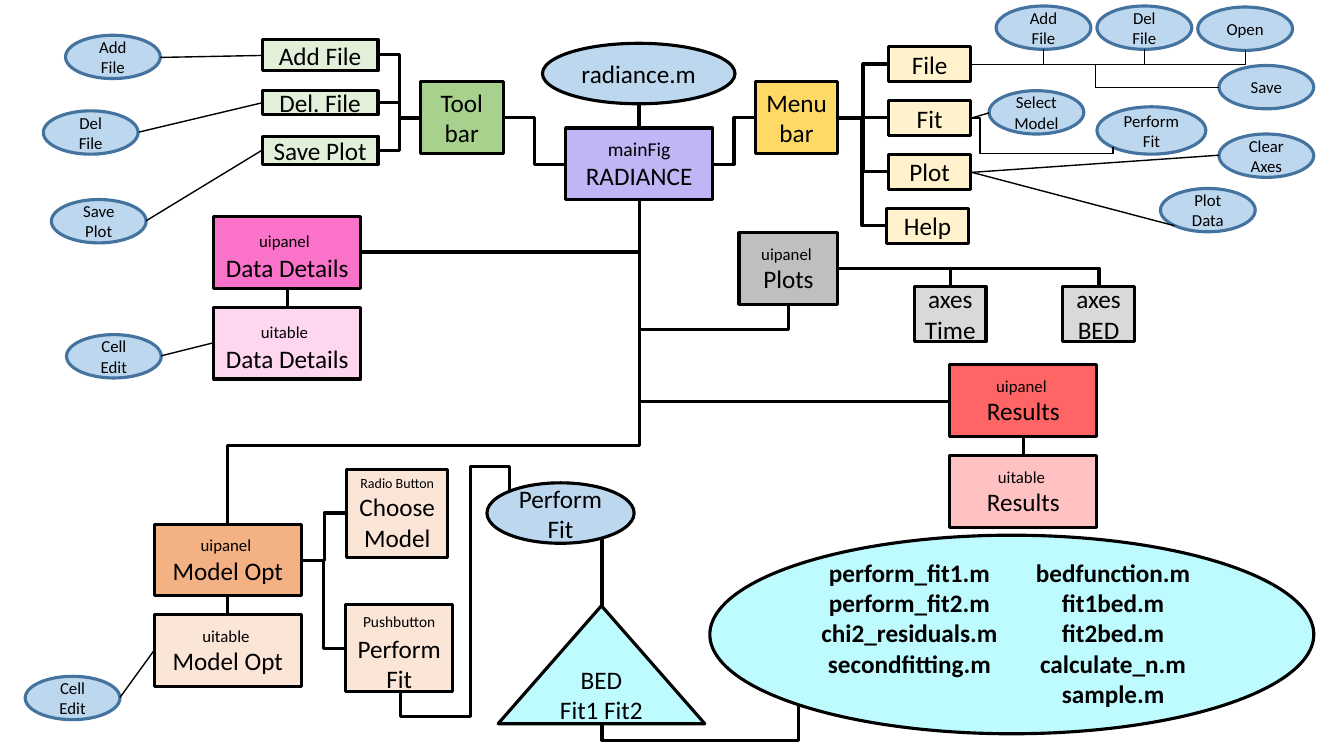
from pptx import Presentation
from pptx.dml.color import RGBColor
from pptx.enum.shapes import MSO_CONNECTOR, MSO_SHAPE
from pptx.enum.text import MSO_ANCHOR, PP_ALIGN
from pptx.oxml.ns import qn
from pptx.util import Inches, Pt
from lxml.etree import SubElement

FONT = "Calibri"
HEX = {
    "ink": "000000", "edge": "43739E", "sky": "BDD7EE", "aqua": "BEFBFE",
    "violet": "BFB6F6", "gold": "FFD966", "cream": "FFF2CC",
    "green": "A9D18E", "mint": "E2F0D9", "pink": "FA72C9", "blush": "FED6F0",
    "orange": "F4B183", "peach": "FBE5D6", "red": "FF6565", "rose": "FFC1C1",
    "gray": "BFBFBF", "silver": "D9D9D9",
}


def tint(name):
    return RGBColor.from_string(HEX[name])


def write(frame, text, sizes=(18,), bold=False):
    frame.word_wrap = True
    frame.vertical_anchor = MSO_ANCHOR.MIDDLE
    frame.text = text.replace("|", "")
    runs = []
    for para, line in zip(frame.paragraphs, text.split("\n")):
        first, *rest = line.split("|")
        para.text = first
        para.alignment = PP_ALIGN.CENTER
        for part in rest:
            para.add_run().text = part
        runs.extend(para.runs)
    for i, run in enumerate(runs):
        run.font.size = Pt(sizes[min(i, len(sizes) - 1)])
        run.font.name = FONT
        run.font.bold = bold
        run.font.color.rgb = tint("ink")


def block(slide, spot, fill, text="", sizes=(18,), form=MSO_SHAPE.RECTANGLE, edge="ink"):
    shape = slide.shapes.add_shape(form, *map(Inches, spot))
    shape.shadow.inherit = False
    shape.fill.solid()
    shape.fill.fore_color.rgb = tint(fill)
    shape.line.color.rgb = tint(edge)
    shape.line.width = Pt(2.25)
    if text:
        write(shape.text_frame, text, sizes)


def panel(slide, left, top, fill, text, sizes=(12, 18), wide=1.46):
    block(slide, (left, top, wide, 0.71), fill, text, sizes)


def bubble(slide, left, top, text, wide=0.94, high=0.43):
    block(slide, (left, top, wide, high), "sky", text, (12,), MSO_SHAPE.OVAL, "edge")


def column(slide, left, names):
    box = slide.shapes.add_textbox(*map(Inches, (left, 5.48, 2.02, 1.63)))
    write(box.text_frame, "\n".join(names), bold=True)
    box.text_frame.vertical_anchor = MSO_ANCHOR.TOP


def wire(slide, start, end, width=2.25, kind=MSO_CONNECTOR.STRAIGHT):
    line = slide.shapes.add_connector(kind, *map(Inches, (*start, *end)))
    line.line.color.rgb = tint("ink")
    line.line.width = Pt(width)
    SubElement(line.element.spPr, qn("a:effectLst"))
    return line


def elbow(slide, start, end, bends=3, width=2.25, down=False, adjust=()):
    ends = [start, end]
    if down:
        mid_x, mid_y = ((a + b) / 2 for a, b in zip(start, end))
        ends = [(mid_x + y - mid_y, mid_y - x + mid_x) for x, y in ends]
    line = wire(slide, *ends, width, MSO_CONNECTOR.ELBOW)
    props = line.element.spPr
    if down:
        props.find(qn("a:xfrm")).set("rot", "5400000")
    geom = props.find(qn("a:prstGeom"))
    geom.set("prst", f"bentConnector{bends}")
    guides = geom.find(qn("a:avLst"))
    if guides is None:
        guides = SubElement(geom, qn("a:avLst"))
    for i, share in enumerate(adjust, 1):
        guide = SubElement(guides, qn("a:gd"))
        guide.set("name", f"adj{i}")
        guide.set("fmla", f"val {round(share * 100000)}")


def draw_bars(slide):
    block(slide, (5.38, 0.43, 1.91, 0.6), "sky", "radiance.m", form=MSO_SHAPE.OVAL)
    panel(slide, 5.61, 1.27, "violet", "mainFig\nRADIANCE", (14, 18))
    wire(slide, (6.34, 1.03), (6.34, 1.27), 3)
    panel(slide, 7.49, 0.81, "gold", "Menu bar", (18,), 0.82)
    panel(slide, 4.17, 0.81, "green", "Tool\nbar", (18,), 0.82)
    elbow(slide, (7.07, 1.63), (7.49, 1.17))
    elbow(slide, (5.61, 1.63), (4.99, 1.17))
    for i, name in enumerate(("File", "Fit", "Plot", "Help")):
        left, top = 8.79 if name == "Help" else 8.81, 0.46 + i * 0.535
        block(slide, (left, top, 0.82, 0.35), "cream", name)
        elbow(slide, (8.31, 1.17), (left, top + 0.175))
    tools = (("Add File", 0.39, 0.31), ("Del. File", 0.9, 0.24), ("Save Plot", 1.35, 0.28))
    for name, top, high in tools:
        block(slide, (2.6, top, 1.15, high), "mint", name)
        elbow(slide, (4.17, 1.17), (3.75, top + high / 2))


def draw_panels(slide):
    hub = (6.34, 1.98)
    panel(slide, 2.12, 2.15, "pink", "uipanel| \nData Details", (12, 18))
    panel(slide, 2.12, 3.05, "blush", "uitable| \nData Details", (12, 18))
    panel(slide, 1.53, 5.2, "orange", "uipanel \nModel Opt")
    panel(slide, 1.53, 6.1, "peach", "uitable \nModel Opt")
    panel(slide, 9.42, 3.62, "red", "uipanel \nResults")
    panel(slide, 9.42, 4.52, "rose", "uitable \nResults")
    panel(slide, 7.33, 2.31, "gray", "uipanel \nPlots", wide=0.98)
    for x, top in ((2.85, 2.86), (2.26, 5.91), (10.15, 4.33)):
        wire(slide, (x, top), (x, top + 0.19))
    elbow(slide, hub, (3.57, 2.5), 2, down=True)
    elbow(slide, hub, (9.42, 3.98), 2, down=True)
    elbow(slide, hub, (7.82, 3.02), down=True, adjust=(1.242,))
    elbow(slide, hub, (2.26, 5.2), down=True, adjust=(0.758,))
    for left, name in ((9.07, "Time"), (10.54, "BED")):
        block(slide, (left, 2.84, 0.71, 0.55), "silver", f"axes {name}")
        elbow(slide, (8.31, 2.66), (left + 0.36, 2.84), 2)


def draw_calls(slide):
    tips = (
        (0.65, 0.35, "Add File", (2.6, 0.55), (1.59, 0.57)),
        (0.43, 1.1, "Del File", (2.6, 1.02), (1.38, 1.31)),
        (0.51, 1.98, "Save Plot", (2.6, 1.49), (1.45, 2.19)),
        (0.66, 3.32, "Cell Edit", (2.12, 3.4), (1.6, 3.53)),
        (0.25, 6.71, "Cell Edit", (1.53, 6.45), (1.19, 6.92)),
        (12.09, 1.33, "Clear Axes", (9.64, 1.71), (12.09, 1.54)),
        (11.51, 1.87, "Plot Data", (9.64, 1.71), (11.65, 2.24)),
        (9.81, 0.9, "Select Model", (9.64, 1.17), (9.81, 1.12)),
    )
    for left, top, text, start, end in tips:
        bubble(slide, left, top, text)
        wire(slide, start, end, 1)
    file = (9.64, 0.64)
    for left, top, text in ((9.88, 0.06, "Add File"), (10.88, 0.06, "Del File"), (11.88, 0.07, "Open")):
        bubble(slide, left, top, text)
        elbow(slide, file, (left + 0.47, top + 0.43), 2, 1)
    bubble(slide, 12.09, 0.65, "Save")
    elbow(slide, file, (12.09, 0.87), 3, 1)
    bubble(slide, 10.88, 1.06, "Perform Fit", 1.08, 0.47)
    elbow(slide, (9.64, 1.17), (11.04, 1.46), 4, 1, adjust=(0.056, 1.217))


def draw_fit(slide):
    elbow(slide, (5.97, 6.01), (6.08, 5.31), down=True, adjust=(1.125,))
    block(slide, (3.44, 4.66, 1, 0.87), "peach", "Radio Button |Choose Model", (10, 18))
    block(slide, (3.43, 6, 1.06, 0.86), "peach", "Pushbutton| Perform Fit", (11, 18))
    elbow(slide, (2.99, 5.56), (3.44, 5.09))
    elbow(slide, (2.99, 5.56), (3.43, 6.43))
    block(slide, (4.83, 4.79, 1.46, 0.6), "sky", "Perform Fit", form=MSO_SHAPE.OVAL)
    elbow(slide, (3.97, 6.86), (5.05, 4.88), 5, down=True, adjust=(-0.126, 0.647, 1.126))
    block(slide, (4.94, 6.01, 2.05, 1.17), "aqua", "BED\nFit1 Fit2", form=MSO_SHAPE.ISOSCELES_TRIANGLE)
    block(slide, (7.04, 5.31, 5.99, 1.97), "aqua", form=MSO_SHAPE.OVAL)
    column(slide, 8.01, ("perform_fit1.m", "perform_fit2.m", "chi2_residuals.m", "secondfitting.m"))
    column(slide, 10.03, ("bedfunction.m", "fit1bed.m", "fit2bed.m", "calculate_n.m", "sample.m"))
    elbow(slide, (5.97, 7.19), (7.92, 6.98), down=True, adjust=(-0.734,))


def main():
    deck = Presentation()
    deck.slide_width = Inches(13.33)
    deck.slide_height = Inches(7.5)
    slide = deck.slides.add_slide(deck.slide_layouts[6])
    draw_bars(slide)
    draw_panels(slide)
    draw_calls(slide)
    draw_fit(slide)
    deck.save("out.pptx")


main()
